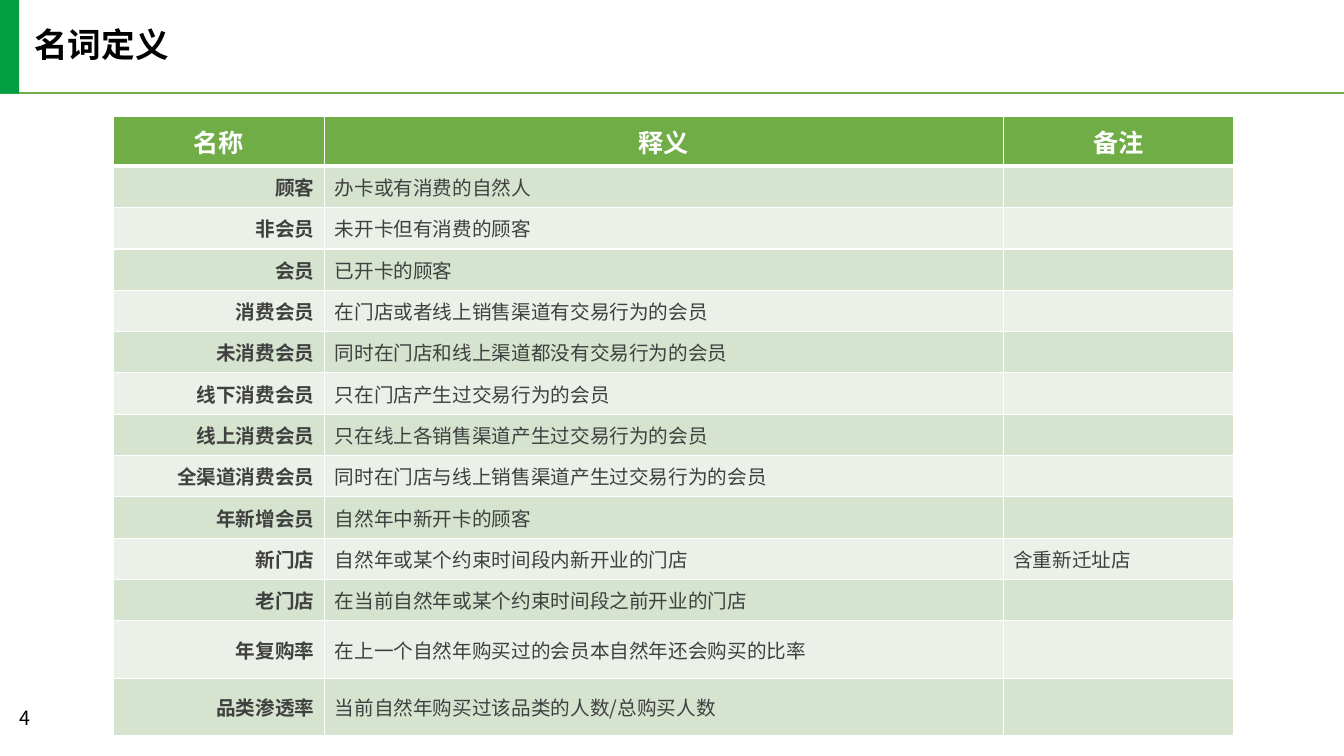
"""Build the glossary slide: a heading bar and a three-column table of terms."""
from lxml.etree import SubElement
from pptx import Presentation
from pptx.dml.color import RGBColor
from pptx.enum.shapes import MSO_CONNECTOR, MSO_SHAPE
from pptx.enum.text import MSO_ANCHOR, PP_ALIGN
from pptx.oxml.ns import qn
from pptx.util import Inches, Pt

TITLE = "名词定义"
PAGE = "4"
HEADER = ("名称", "释义", "备注")
TERMS = [
    ("顾客", "办卡或有消费的自然人", ""),
    ("非会员", "未开卡但有消费的顾客", ""),
    ("会员", "已开卡的顾客", ""),
    ("消费会员", "在门店或者线上销售渠道有交易行为的会员", ""),
    ("未消费会员", "同时在门店和线上渠道都没有交易行为的会员", ""),
    ("线下消费会员", "只在门店产生过交易行为的会员", ""),
    ("线上消费会员", "只在线上各销售渠道产生过交易行为的会员", ""),
    ("全渠道消费会员", "同时在门店与线上销售渠道产生过交易行为的会员", ""),
    ("年新增会员", "自然年中新开卡的顾客", ""),
    ("新门店", "自然年或某个约束时间段内新开业的门店", "含重新迁址店"),
    ("老门店", "在当前自然年或某个约束时间段之前开业的门店", ""),
    ("年复购率", "在上一个自然年购买过的会员本自然年还会购买的比率", ""),
    ("品类渗透率", "当前自然年购买过该品类的人数/总购买人数", ""),
]
COL_WIDTHS = (2.1, 6.73, 2.29)
ROW_HEIGHTS = [0.5] + [0.41] * 11 + [0.57] * 2

FONT = "Noto Sans CJK SC"
WHITE = RGBColor(0xFF, 0xFF, 0xFF)
BLACK = RGBColor(0, 0, 0)
TEXT = RGBColor(0x40, 0x40, 0x40)
BAR = RGBColor(0x02, 0x9E, 0x42)
GREEN = RGBColor(0x70, 0xAD, 0x47)
BANDS = (RGBColor(0xEB, 0xF1, 0xE9), RGBColor(0xD5, 0xE3, 0xCF))


def style(p, size, color, bold=False, align=PP_ALIGN.LEFT):
    p.alignment = align
    f = p.font
    f.name, f.size, f.bold = FONT, Pt(size), bold
    f.color.rgb = color
    latin = p._p.pPr.find(qn("a:defRPr")).find(qn("a:latin"))
    ea = SubElement(latin.getparent(), qn("a:ea"), typeface=FONT)
    latin.addnext(ea)


def add_text(s, text, box, size, bold=False, inset=None):
    tf = s.shapes.add_textbox(*map(Inches, box)).text_frame
    tf.word_wrap = True
    if inset is not None:
        tf.margin_left = tf.margin_right = tf.margin_top = tf.margin_bottom = inset
    p = tf.paragraphs[0]
    p.text = text
    style(p, size, BLACK, bold)
    return p


def add_borders(cell, bottom):
    tcPr = cell._tc.get_or_add_tcPr()
    for side, width in (("L", 1), ("R", 1), ("T", 1), ("B", bottom)):
        ln = SubElement(tcPr, qn(f"a:ln{side}"), w=str(Pt(width)))
        SubElement(SubElement(ln, qn("a:solidFill")), qn("a:srgbClr"), val=str(WHITE))


def fill_cell(cell, text, row, col):
    header = row == 0
    add_borders(cell, 3 if header else 1)
    cell.fill.solid()
    cell.fill.fore_color.rgb = GREEN if header else BANDS[row % 2]
    cell.vertical_anchor = MSO_ANCHOR.MIDDLE
    p = cell.text_frame.paragraphs[0]
    if text:
        p.text = text
    if header:
        cell.margin_left = cell.margin_right = cell.margin_top = cell.margin_bottom = 0
        style(p, 18, WHITE, True, PP_ALIGN.CENTER)
    else:
        style(p, 14, TEXT, col == 0, PP_ALIGN.LEFT if col else PP_ALIGN.RIGHT)


def add_glossary(s):
    rows = [HEADER] + TERMS
    size = map(Inches, (1.12, 1.15, sum(COL_WIDTHS), sum(ROW_HEIGHTS)))
    table = s.shapes.add_table(len(rows), len(HEADER), *size).table
    for column, width in zip(table.columns, COL_WIDTHS):
        column.width = Inches(width)
    for i, (values, height) in enumerate(zip(rows, ROW_HEIGHTS)):
        table.rows[i].height = Inches(height)
        for j, text in enumerate(values):
            fill_cell(table.cell(i, j), text, i, j)


def main():
    prs = Presentation()
    prs.slide_width, prs.slide_height = Inches(13.33), Inches(7.5)
    s = prs.slides.add_slide(prs.slide_layouts[6])

    rule = s.shapes.add_connector(
        MSO_CONNECTOR.STRAIGHT, 0, Inches(0.92), prs.slide_width, Inches(0.92))
    rule.line.color.rgb = GREEN
    rule.line.width = Pt(1.5)
    SubElement(rule._element.spPr, qn("a:effectLst"))

    add_text(s, TITLE, (0.34, 0.28, 6.29, 0.36), 24, True, 0).line_spacing = 0.9
    bar = s.shapes.add_shape(
        MSO_SHAPE.RECTANGLE, 0, Inches(-0.01), Inches(0.19), Inches(0.94))
    bar.shadow.inherit = False
    bar.fill.solid()
    bar.fill.fore_color.rgb = BAR
    bar.line.fill.background()

    add_text(s, PAGE, (0.09, 6.95, 0.91, 0.4), 14)
    add_glossary(s)
    prs.save("out.pptx")


if __name__ == "__main__":
    main()
